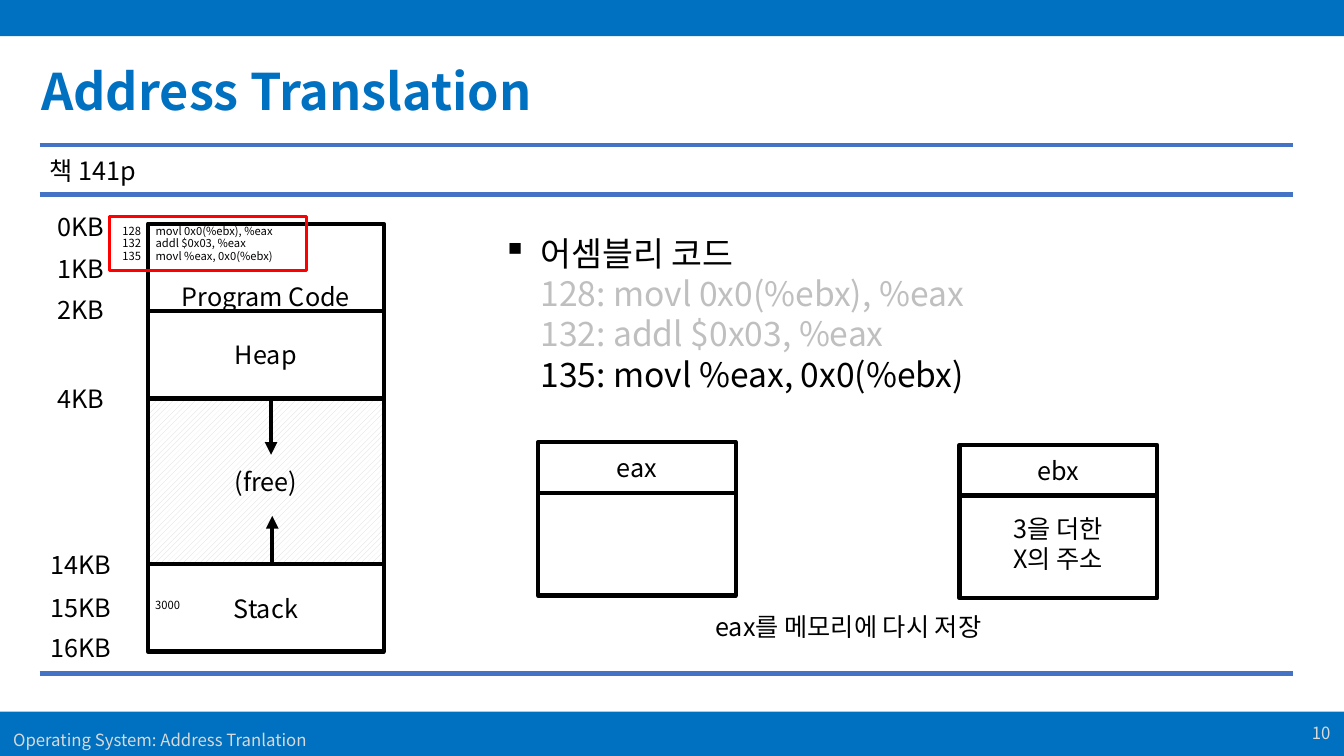
from dataclasses import dataclass

from lxml import etree
from pptx import Presentation
from pptx import util as u
from pptx.dml.color import RGBColor
from pptx.enum import dml, shapes as sh, text as tx
from pptx.oxml import ns

Cm, Pt = u.Cm, u.Pt
LEFT, CENTER, RIGHT = tx.PP_ALIGN.LEFT, tx.PP_ALIGN.CENTER, tx.PP_ALIGN.RIGHT
TOP, MIDDLE, BOTTOM = tx.MSO_ANCHOR.TOP, tx.MSO_ANCHOR.MIDDLE, tx.MSO_ANCHOR.BOTTOM


@dataclass(frozen=True)
class Theme:
    font: str = "Noto Sans CJK KR"
    brand: str = "0070C0"
    rule: str = "4472C4"
    ink: str = "000000"
    paper: str = "FFFFFF"
    faded: str = "BFBFBF"
    pale: str = "D9D9D9"
    alert: str = "FF0000"
    title: int = 36
    lead: int = 24
    body: int = 18
    footer: int = 12
    tiny: int = 8
    stroke: float = 3
    thin: float = 2.25


T = Theme()
WIDTH, HEIGHT = 33.87, 19.05


def rgb(value):
    return RGBColor.from_string(value)


def sub(parent, tag, **attrs):
    return etree.SubElement(parent, ns.qn(tag), attrs)


def write(tf, runs, size=T.body, color=T.ink, bold=False, align=LEFT, anchor=TOP, bullet=None):
    """Fill a frame with one paragraph; runs is a string or (string, colour) pairs."""
    tf.word_wrap = True
    tf.vertical_anchor = anchor
    p = tf.paragraphs[0]
    p.alignment = align
    if bullet:
        pPr = p._p.get_or_add_pPr()
        pPr.set("marL", str(Cm(0.95)))
        pPr.set("indent", str(-Cm(0.95)))
        sub(pPr, "a:buChar", char=bullet)
    p.font.size = Pt(size)
    for words, tint in [(runs, color)] if isinstance(runs, str) else runs:
        for i, line in enumerate(words.split("\n")):
            if i:
                p.add_line_break()
            if not line:
                continue
            r = p.add_run()
            r.text = line
            r.font.size, r.font.bold, r.font.name = Pt(size), bold, T.font
            r.font.color.rgb = rgb(tint)
            sub(r._r.get_or_add_rPr(), "a:ea", typeface=T.font)


def label(s, box, runs, **fmt):
    tb = s.shapes.add_textbox(*map(Cm, box))
    write(tb.text_frame, runs, **fmt)


def rect(s, box, runs=None, fill=None, line=None, width=T.stroke, **fmt):
    sp = s.shapes.add_shape(sh.MSO_SHAPE.RECTANGLE, *map(Cm, box))
    sp.shadow.inherit = False
    if fill:
        sp.fill.solid()
        sp.fill.fore_color.rgb = rgb(fill)
    else:
        sp.fill.background()
    if line:
        sp.line.color.rgb = rgb(line)
        sp.line.width = Pt(width)
    else:
        sp.line.fill.background()
    if runs:
        write(sp.text_frame, runs, **{"align": CENTER, "anchor": MIDDLE, **fmt})
    return sp


def hatch(sp):
    sp.fill.patterned()
    sp.fill.pattern = dml.MSO_PATTERN.WIDE_UPWARD_DIAGONAL
    sp.fill.fore_color.rgb = rgb(T.pale)
    sp.fill.back_color.rgb = rgb(T.paper)


def line(s, x1, y1, x2, y2, color=T.ink, arrow=False):
    c = s.shapes.add_connector(sh.MSO_CONNECTOR.STRAIGHT, Cm(x1), Cm(y1), Cm(x2), Cm(y2))
    c.line.color.rgb = rgb(color)
    c.line.width = Pt(T.stroke)
    if arrow:
        sub(c.line._get_or_add_ln(), "a:tailEnd", type="triangle")
    sub(c._element.spPr, "a:effectLst")


def frame(s):
    # Bars, footer, title and rules
    rect(s, (0, 17.93, WIDTH, 1.12), fill=T.brand)
    rect(s, (0, 0, WIDTH, 0.91), fill=T.brand)
    small = dict(size=T.footer, color=T.pale, anchor=MIDDLE)
    label(s, (0.08, 18.14, 10.11, 1.02), "Operating System: Address Tranlation", **small)
    label(s, (26.16, 17.96, 7.62, 1.02), "10", align=RIGHT, **small)
    label(s, (0.79, 1.4, 21.11, 1.8), "Address Translation", size=T.title, color=T.brand, bold=True)
    for y in (3.66, 4.9, 16.97):
        line(s, 1, y, 32.59, y, color=T.rule)
    label(s, (1, 3.78, 2.92, 1.02), "책 141p")


def memory_map(s):
    # Stacked segments of the address space
    x, y, w = 3.73, 5.64, 5.94
    for name, h in (("Program Code", 2.2), ("Heap", 2.2), ("(free)", 4.18), ("Stack", 2.2)):
        sp = rect(s, (x, y, w, h), name, line=T.ink)
        if name == "Program Code":
            sp.text_frame.vertical_anchor = BOTTOM
            sp.text_frame.margin_bottom = 0
        elif name == "(free)":
            hatch(sp)
            free_top, free_bottom = y, y + h
        y += h
    line(s, 6.86, free_bottom, 6.86, 13, arrow=True)
    line(s, 6.83, free_top, 6.83, 11.46, arrow=True)

    # Address scale
    scale = {0: 5.21, 1: 6.25, 2: 7.29, 4: 9.53, 14: 13.72, 15: 14.81, 16: 15.82}
    for kb, top in scale.items():
        label(s, (1, top, 2.06, 1.02), f"{kb}KB", align=CENTER)


def instructions(s, code):
    # Instructions inside the code segment, and the stored value
    for i, (address, command) in enumerate(code):
        top = 5.53 + 0.31 * i
        label(s, (2.29, top, 2.06, 0.61), address, size=T.tiny, align=CENTER)
        label(s, (3.67, top, 5.94, 0.61), command, size=T.tiny)
    label(s, (3.66, 14.94, 2.44, 0.61), "3000", size=T.tiny)
    rect(s, (2.77, 5.46, 4.95, 1.35), line=T.alert, width=T.thin)


def assembly(s, code):
    # Listing with the current instruction in full colour
    rows = [f"{address}: {command}" for address, command in code]
    runs = [("어셈블리 코드\n", T.ink), ("\n".join(rows[:-1]) + "\n", T.faded), (rows[-1], T.ink)]
    label(s, (12.42, 5.74, 13.74, 4.37), runs, size=T.lead, bullet="▪")


def register(s, x, y, name):
    rect(s, (x, y + 1.28, 4.98, 2.59), line=T.ink)
    rect(s, (x, y, 4.98, 1.28), name, line=T.ink)


def main():
    prs = Presentation()
    prs.slide_width, prs.slide_height = Cm(WIDTH), Cm(HEIGHT)
    s = prs.slides.add_slide(prs.slide_layouts[6])
    code = [
        ("128", "movl 0x0(%ebx), %eax"),
        ("132", "addl $0x03, %eax"),
        ("135", "movl %eax, 0x0(%ebx)"),
    ]
    frame(s)
    assembly(s, code)
    memory_map(s)
    instructions(s, code)

    # Registers and caption
    register(s, 13.56, 11.14, "eax")
    register(s, 24.18, 11.21, "ebx")
    label(s, (24.79, 12.8, 3.76, 1.8), "3을 더한\nX의 주소", align=CENTER)
    label(s, (17.78, 15.29, 7.62, 1.02), "eax를 메모리에 다시 저장")
    prs.save("out.pptx")


if __name__ == "__main__":
    main()
